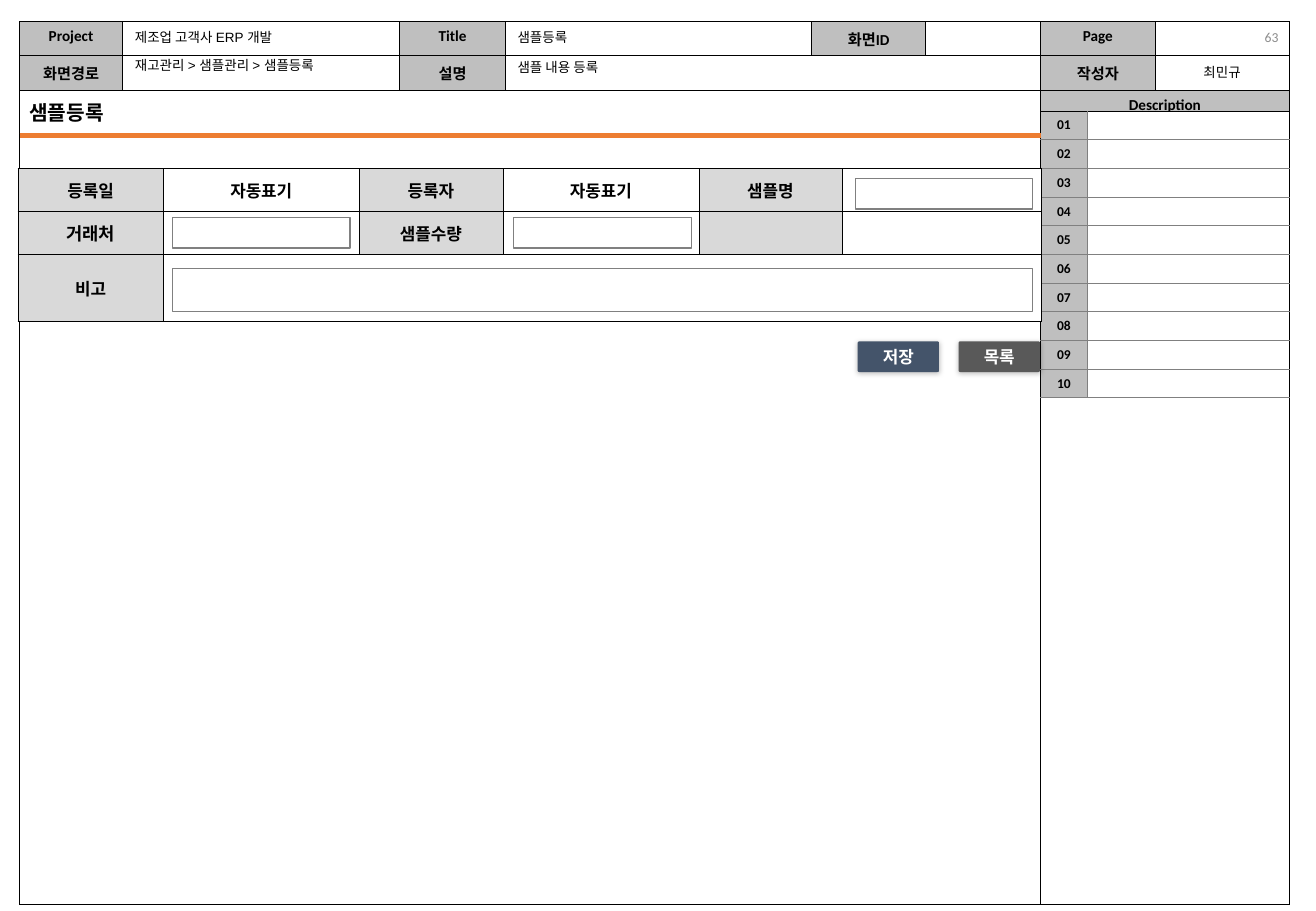
from dataclasses import dataclass

from lxml import etree
from pptx import Presentation
from pptx.dml.color import RGBColor
from pptx.enum.shapes import MSO_CONNECTOR, MSO_SHAPE
from pptx.enum.text import MSO_ANCHOR, MSO_AUTO_SIZE, PP_ALIGN
from pptx.oxml.ns import qn
from pptx.util import Cm, Pt

LEFT, CENTER, RIGHT = PP_ALIGN.LEFT, PP_ALIGN.CENTER, PP_ALIGN.RIGHT
TOP, MIDDLE = MSO_ANCHOR.TOP, MSO_ANCHOR.MIDDLE
FIT_SHAPE, NO_FIT = MSO_AUTO_SIZE.SHAPE_TO_FIT_TEXT, MSO_AUTO_SIZE.NONE
STRAIGHT = MSO_CONNECTOR.STRAIGHT
RECTANGLE, ROUNDED = MSO_SHAPE.RECTANGLE, MSO_SHAPE.ROUNDED_RECTANGLE
TITLE_ONLY = 5


@dataclass(frozen=True)
class Theme:
    black: str = "000000"
    white: str = "FFFFFF"
    gray: str = "808080"
    page_gray: str = "8C8C8C"
    header: str = "BFBFBF"
    label: str = "D9D9D9"
    accent: str = "ED7D31"
    save: str = "44546A"
    back_to_list: str = "595959"
    latin: str = "Calibri"
    body: str = "Arial"
    button: str = "Roboto"
    title_size: float = 12
    form_size: float = 10
    client_size: float = 10.5
    header_size: float = 9
    page_size: float = 8.1
    small_size: float = 8
    empty_size: float = 1


THEME = Theme()


def rgb(value):
    return RGBColor.from_string(value)


def box(left, top, width, height):
    return Cm(left), Cm(top), Cm(width), Cm(height)


def write(frame, text, size, font, color=THEME.black, bold=False, align=LEFT):
    paragraph = frame.paragraphs[0]
    paragraph.alignment = align
    run = paragraph.add_run()
    run.text = text
    for name, value in {"size": Pt(size), "name": font, "bold": bold}.items():
        setattr(run.font, name, value)
    run.font.color.rgb = rgb(color)


def border(cell, colors, width):
    properties = cell._tc.get_or_add_tcPr()
    for side, color in zip("LRTB", colors):
        line = etree.SubElement(properties, qn(f"a:ln{side}"), w=str(Pt(width)))
        fill = etree.SubElement(line, qn("a:solidFill"))
        etree.SubElement(fill, qn("a:srgbClr"), val=color)


def add_grid(slide, left, top, columns, rows, merges=()):
    frame = slide.shapes.add_table(
        len(rows), len(columns), *box(left, top, sum(columns), sum(rows)))
    grid = frame.table
    grid.first_row = grid.horz_banding = False
    for column, width in zip(grid.columns, columns):
        column.width = Cm(width)
    for row, height in zip(grid.rows, rows):
        row.height = Cm(height)
    for first, last in merges:
        grid.cell(*first).merge(grid.cell(*last))
    return grid


def fill_cell(cell, text, size, borders, width, fill=None, bold=True, anchor=TOP):
    border(cell, borders, width)
    cell.vertical_anchor = anchor
    if fill:
        cell.fill.solid()
        cell.fill.fore_color.rgb = rgb(fill)
    else:
        cell.fill.background()
    if text:
        write(cell.text_frame, text, size, THEME.latin, bold=bold, align=CENTER)
    else:
        etree.SubElement(cell.text_frame.paragraphs[0]._p, qn("a:endParaRPr"),
                         sz=str(int(THEME.empty_size * 100)))


def add_header(slide):
    labels = {(0, 0): "Project", (0, 2): "Title", (0, 4): "화면ID", (0, 6): "Page",
              (1, 0): "화면경로", (1, 2): "설명", (1, 6): "작성자",
              (2, 6): "Description"}
    author = (1, 7)
    grid = add_grid(slide, 0.41, 0.45,
                    [2.15, 5.79, 2.22, 6.4, 2.38, 2.4, 2.4, 2.8],
                    [0.7, 0.72, 0.45, 16.39],
                    [((1, 3), (1, 5)), ((2, 0), (3, 5)),
                     ((2, 6), (2, 7)), ((3, 6), (3, 7))])
    for row in range(4):
        for column in range(8):
            place = (row, column)
            cell = grid.cell(*place)
            black_sides = [THEME.black] * 4
            if place == author:
                fill_cell(cell, "최민규", THEME.small_size, black_sides, 0.5, bold=False)
            else:
                fill_cell(cell, labels.get(place), THEME.header_size, black_sides, 0.5,
                          THEME.header if place in labels else None)


def add_descriptions(slide):
    count = 10
    grid = add_grid(slide, 21.75, 2.32, [0.98, 4.22], [0.6] * count)
    for row in range(count):
        upper = THEME.gray if row else THEME.black
        fill_cell(grid.cell(row, 0), f"{row + 1:02}", THEME.small_size,
                  [THEME.black, THEME.gray, upper, THEME.gray], 0.5, THEME.header)
        fill_cell(grid.cell(row, 1), None, THEME.small_size,
                  [THEME.gray, THEME.black, upper, THEME.gray], 0.5, THEME.white)


def add_form(slide):
    fields = [["등록일", "자동표기", "등록자", "자동표기", "샘플명", None],
              ["거래처", None, "샘플수량", None, None, None],
              ["비고", None, None, None, None, None]]
    grid = add_grid(slide, 0.37, 3.52, [3.05, 4.08, 3.01, 4.1, 2.99, 4.16],
                    [0.9, 0.9, 1.4], [((2, 1), (2, 5))])
    for row, texts in enumerate(fields):
        for column, text in enumerate(texts):
            is_label = column == 0 or (row < 2 and column % 2 == 0)
            size = THEME.client_size if text == "거래처" else THEME.form_size
            fill_cell(grid.cell(row, column), text, size, [THEME.black] * 4, 0.25,
                      THEME.label if is_label else THEME.white, anchor=MIDDLE)


def add_title(slide, text):
    title = slide.shapes.title
    place = dict(zip(("left", "top", "width", "height"), box(0.36, 1.96, 2.24, 0.76)))
    for name, value in place.items():
        setattr(title, name, value)
    frame = title.text_frame
    for name, value in {"word_wrap": False, "auto_size": NO_FIT,
                        "vertical_anchor": TOP}.items():
        setattr(frame, name, value)
    write(frame, text, THEME.title_size, THEME.body, bold=True)


def add_note(slide, text, left, top, width):
    frame = slide.shapes.add_textbox(*box(left, top, width, 0.6)).text_frame
    frame.word_wrap = False
    frame.auto_size = FIT_SHAPE
    write(frame, text, THEME.small_size, THEME.body)


def add_page_number(slide, text):
    frame = slide.shapes.add_textbox(*box(20.78, 0.51, 6.2, 0.53)).text_frame
    frame.word_wrap = True
    frame.vertical_anchor = MIDDLE
    write(frame, text, THEME.page_size, THEME.latin, THEME.page_gray, align=RIGHT)


def add_rule(slide):
    rule = slide.shapes.add_connector(STRAIGHT, Cm(0.41), Cm(2.84), Cm(21.77), Cm(2.84))
    rule.line.color.rgb = rgb(THEME.accent)
    rule.line.width = Pt(3)
    etree.SubElement(rule._element.spPr, qn("a:effectLst"))


def add_panel(slide, kind, place, fill):
    panel = slide.shapes.add_shape(kind, *box(*place))
    panel.shadow.inherit = False
    panel.fill.solid()
    panel.fill.fore_color.rgb = rgb(fill)
    return panel


def add_input(slide, *place):
    field = add_panel(slide, RECTANGLE, place, THEME.white)
    field.line.color.rgb = rgb(THEME.gray)
    field.line.width = Pt(0.75)


def add_button(slide, text, left, fill):
    button = add_panel(slide, ROUNDED, (left, 7.14, 1.7, 0.64), fill)
    button.adjustments[0] = 0.05
    button.line.fill.background()
    effects = button._element.spPr.find(qn("a:effectLst"))
    shadow = etree.SubElement(effects, qn("a:outerShdw"), blurRad=str(Pt(3)),
                              dist=str(Pt(1)), dir="5400000", algn="t", rotWithShape="0")
    color = etree.SubElement(shadow, qn("a:srgbClr"), val=THEME.black)
    etree.SubElement(color, qn("a:alpha"), val="25000")
    frame = button.text_frame
    for name, value in {"margin_left": Cm(0.2), "margin_right": Cm(0.2),
                        "vertical_anchor": MIDDLE}.items():
        setattr(frame, name, value)
    write(frame, text, THEME.form_size, THEME.button, THEME.white, True, CENTER)


def main():
    deck = Presentation()
    deck.slide_width, deck.slide_height = Cm(27.51), Cm(19.05)
    slide = deck.slides.add_slide(deck.slide_layouts[TITLE_ONLY])
    add_title(slide, "샘플등록")
    add_header(slide)
    add_page_number(slide, "63")
    add_descriptions(slide)
    add_rule(slide)
    add_form(slide)
    for note in [("제조업 고객사 ERP 개발", 2.57, 0.48, 3.84),
                 ("재고관리 > 샘플관리 > 샘플등록", 2.57, 1.07, 4.75),
                 ("샘플등록", 10.57, 0.48, 1.65),
                 ("샘플 내용 등록", 10.57, 1.12, 2.44)]:
        add_note(slide, *note)
    for place in [(17.88, 3.73, 3.71, 0.64), (3.61, 4.55, 3.71, 0.64),
                  (10.74, 4.55, 3.71, 0.64), (3.61, 5.61, 17.98, 0.91)]:
        add_input(slide, *place)
    add_button(slide, "저장", 17.93, THEME.save)
    add_button(slide, "목록", 20.04, THEME.back_to_list)
    deck.save("out.pptx")


if __name__ == "__main__":
    main()
